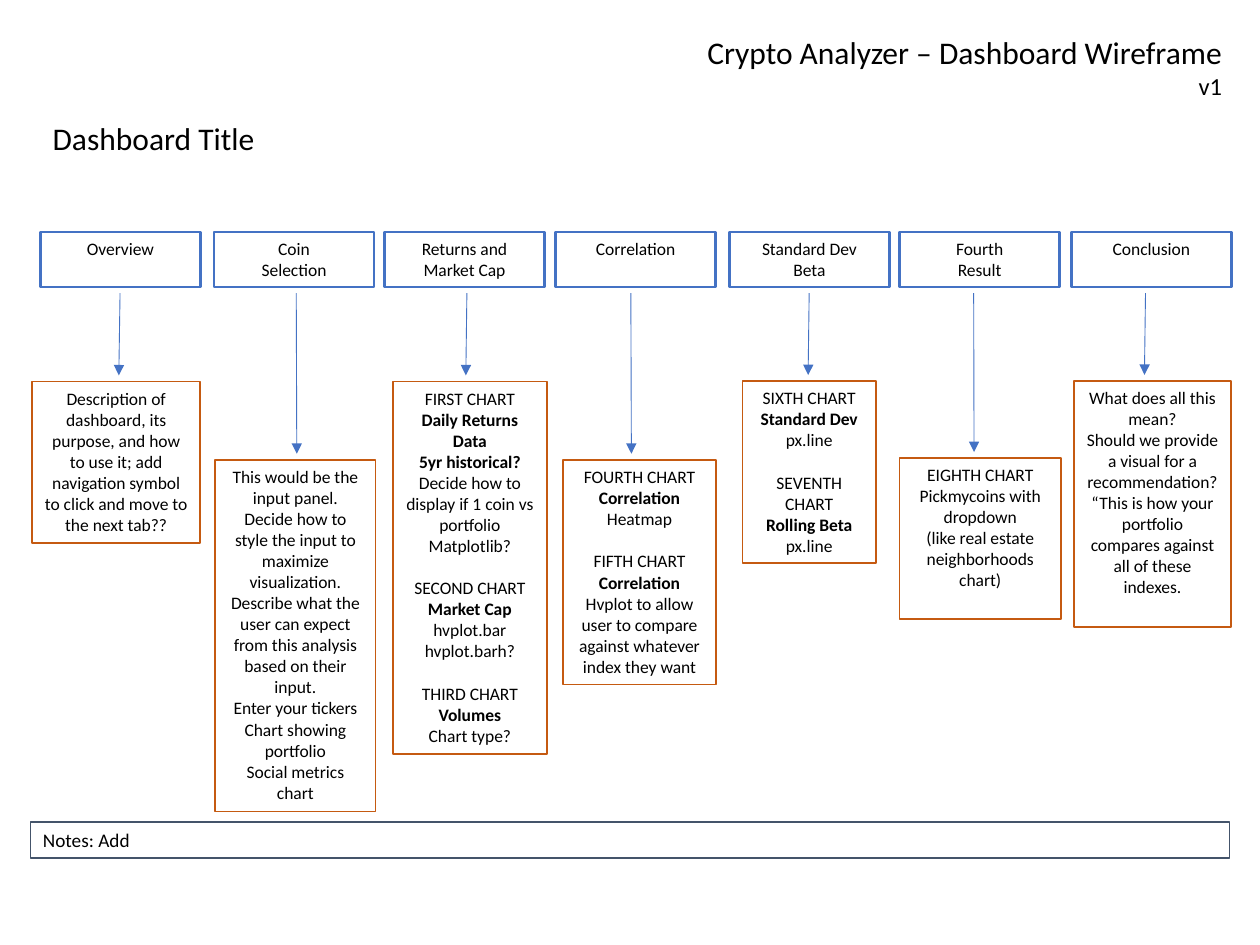
from lxml import etree
from pptx import Presentation
from pptx.dml.color import RGBColor
from pptx.enum.shapes import MSO_CONNECTOR, MSO_SHAPE
from pptx.enum.text import MSO_ANCHOR, MSO_AUTO_SIZE, PP_ALIGN
from pptx.oxml.ns import qn
from pptx.util import Pt

LEFT, CENTER, RIGHT = PP_ALIGN.LEFT, PP_ALIGN.CENTER, PP_ALIGN.RIGHT
TOP, NO_FIT = MSO_ANCHOR.TOP, MSO_AUTO_SIZE.NONE
RECT, STRAIGHT = MSO_SHAPE.RECTANGLE, MSO_CONNECTOR.STRAIGHT
TITLE_ONLY = 5

FONT = "Calibri"
COLORS = {"text": "000000", "tab": "4472C4", "detail": "C55A11", "notes": "44546A"}
TAB_TOP, TAB_W, TAB_H = 132.5, 91.6, 31.5
ARROW_TOP, ARROW_GAP = 167.5, 3.5
GROUP_GAP = 12.2  # one line of 10 pt text

# Tab left, tab lines, arrow x (from, to), detail box, groups of detail lines (* = bold)
COLUMNS = [
    (23, ["Overview"], (68.6, 67.9), (18.2, 218, 96.3, 92.3),
     [["Description of dashboard, its purpose, and how to use it; add navigation "
       "symbol to click and move to the next tab??"]]),
    (122.2, ["Coin", "Selection"], (169.3, 169.6), (122.9, 262.8, 91.7, 201),
     [["This would be the input panel. Decide how to style the input to maximize "
       "visualization.",
       "Describe what the user can expect from this analysis based on their input.",
       "Enter your tickers", "Chart showing portfolio", "Social metrics chart"]]),
    (219.6, ["Returns and Market Cap"], (266.8, 266.2), (224.5, 218, 88, 213),
     [["FIRST CHART", "*Daily Returns Data", "*5yr historical?",
       "Decide how to display if 1 coin vs portfolio", "Matplotlib?"],
      ["SECOND CHART", "*Market Cap", "hvplot.bar", "hvplot.barh?"],
      ["THIRD CHART", "*Volumes", "Chart type?"]]),
    (317.4, ["Correlation"], (360.5, 360.8), (321.7, 262.8, 87.4, 128.4),
     [["FOURTH CHART", "*Correlation", "Heatmap"],
      ["FIFTH CHART", "*Correlation",
       "Hvplot to allow user to compare against whatever index they want"]]),
    (416.7, ["Standard Dev", "Beta"], (462.4, 461.8), (424.3, 217.8, 76.2, 104),
     [["SIXTH CHART", "*Standard Dev", "px.line"],
      ["SEVENTH CHART", "*Rolling Beta", "px.line"]]),
    (514, ["Fourth", "Result"], (556.4, 556.6), (514, 261.8, 92.2, 92),
     [["EIGHTH CHART", "Pickmycoins with dropdown",
       "(like real estate neighborhoods chart)"]]),
    (612.1, ["Conclusion"], (654.6, 654), (613.6, 217.7, 89.9, 140.5),
     [["What does all this mean?",
       "Should we provide a visual for a recommendation?",
       "“This is how your portfolio compares against all of these indexes."]]),
]


def rgb(name):
    return RGBColor.from_string(COLORS[name])


def fill_text(sp, groups, size, align):
    tf = sp.text_frame
    tf.word_wrap, tf.auto_size, tf.vertical_anchor = True, NO_FIT, TOP
    lines = [(line, i > 0 and j == 0)
             for i, group in enumerate(groups) for j, line in enumerate(group)]
    for n, (line, opens_group) in enumerate(lines):
        p = tf.add_paragraph() if n else tf.paragraphs[0]
        p.text = line.lstrip("*")
        p.alignment = align
        p.space_before = Pt(GROUP_GAP if opens_group else 0)
        p.font.name, p.font.size = FONT, Pt(size)
        p.font.bold = line.startswith("*")
        p.font.color.rgb = rgb("text")
    return tf


def add_box(s, box, color, width, groups, size=10, align=CENTER):
    sp = s.shapes.add_shape(RECT, *map(Pt, box))
    sp.shadow.inherit = False
    sp.fill.background()
    sp.line.color.rgb = rgb(color)
    sp.line.width = Pt(width)
    fill_text(sp, groups, size, align)


def add_arrow(s, x1, y1, x2, y2):
    line = s.shapes.add_connector(STRAIGHT, *map(Pt, (x1, y1, x2, y2)))
    line.line.color.rgb = rgb("tab")
    line.line.width = Pt(0.5)
    etree.SubElement(line.line._get_or_add_ln(), qn("a:tailEnd"), type="triangle")
    etree.SubElement(line._element.spPr, qn("a:effectLst"))


def add_header(s, box):
    title = s.shapes.title
    title.left, title.top, title.width, title.height = map(Pt, box)
    tf = fill_text(title, [["Crypto Analyzer – Dashboard Wireframe", "v1"]], 18, RIGHT)
    tf.paragraphs[1].font.size = Pt(14)


def add_subtitle(s, box):
    sp = s.shapes.add_textbox(*map(Pt, box))
    fill_text(sp, [["Dashboard Title"]], 18, LEFT)


def add_column(s, tab_left, tab_lines, arrow_xs, detail_box, groups):
    add_box(s, (tab_left, TAB_TOP, TAB_W, TAB_H), "tab", 1.5, [tab_lines])
    add_box(s, detail_box, "detail", 1, groups)
    x1, x2 = arrow_xs
    add_arrow(s, x1, ARROW_TOP, x2, detail_box[1] - ARROW_GAP)


def add_notes_bar(s, box):
    add_box(s, box, "notes", 0.75, [["Notes: Add"]], 11, LEFT)


def main():
    prs = Presentation()
    prs.slide_width, prs.slide_height = Pt(720), Pt(540)
    s = prs.slides.add_slide(prs.slide_layouts[TITLE_ONLY])

    # Heading and dashboard name
    add_header(s, (391, 15.3, 314.6, 46))
    add_subtitle(s, (23, 64.4, 224.6, 29))

    # One column per dashboard tab
    for column in COLUMNS:
        add_column(s, *column)

    # Notes along the bottom
    add_notes_bar(s, (17.4, 469.7, 685.4, 20.6))
    prs.save("out.pptx")


if __name__ == "__main__":
    main()
